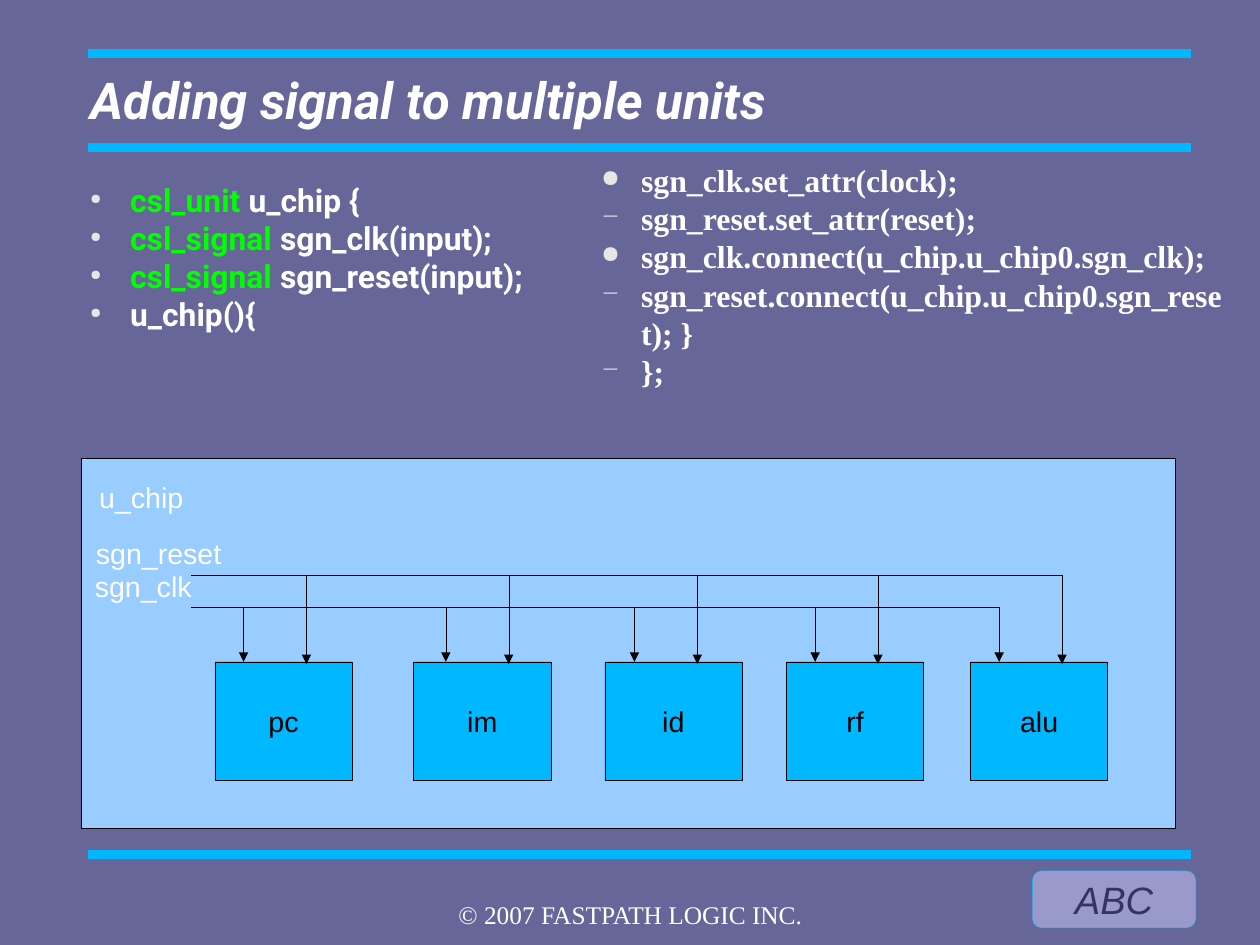
"""Build the slide on adding a signal to multiple units."""
from lxml import etree
from pptx import Presentation
from pptx.dml.color import RGBColor
from pptx.enum import shapes, text
from pptx.oxml import ns
from pptx.util import Pt

WHITE = RGBColor(0xFF, 0xFF, 0xFF)
BLACK = RGBColor(0, 0, 0)
GREEN = RGBColor(0, 0xFF, 0)
CYAN = RGBColor(0, 0xB8, 0xFF)
SKY = RGBColor(0x99, 0xCC, 0xFF)
LILAC = RGBColor(0x99, 0x99, 0xCC)
NAVY = RGBColor(0x33, 0x33, 0x66)
SLATE = RGBColor(0x66, 0x66, 0x99)
BULLET_GREY = RGBColor(0xE6, 0xE6, 0xE6)
HAIRLINE = 0.25


def add_panel(kind, left, top, width, height, fill, border, label="", size=18, color=BLACK):
    panel = slide.shapes.add_shape(kind, Pt(left), Pt(top), Pt(width), Pt(height))
    panel.shadow.inherit = False
    panel.fill.solid()
    panel.fill.fore_color.rgb = fill
    panel.line.color.rgb = border
    panel.line.width = Pt(HAIRLINE)
    if label:
        paragraph = panel.text_frame.paragraphs[0]
        paragraph.text = label
        paragraph.alignment = text.PP_ALIGN.CENTER
        paragraph.font.name = "Arial"
        paragraph.font.size = Pt(size)
        paragraph.font.color.rgb = color
    return panel


def add_line(x1, y1, x2, y2, color=BLACK, width=HAIRLINE, arrow=False):
    line = slide.shapes.add_connector(
        shapes.MSO_CONNECTOR.STRAIGHT, Pt(x1), Pt(y1), Pt(x2), Pt(y2))
    line.line.color.rgb = color
    line.line.width = Pt(width)
    if arrow:
        outline = line._element.spPr.find(ns.qn("a:ln"))
        etree.SubElement(outline, ns.qn("a:tailEnd"), type="triangle")
    etree.SubElement(line._element.spPr, ns.qn("a:effectLst"))


deck = Presentation()
deck.slide_width, deck.slide_height = Pt(793.6), Pt(595.3)
slide = deck.slides.add_slide(deck.slide_layouts[6])
slide.background.fill.solid()
slide.background.fill.fore_color.rgb = SLATE

for rule_y in (34, 93, 538.6):
    add_line(55.4, rule_y, 750.2, rule_y, CYAN, 5.67)

badge = add_panel(shapes.MSO_SHAPE.ROUNDED_RECTANGLE, 650.2, 548.6, 103, 36,
                  LILAC, CYAN, "ABC", 24, NAVY)
badge.text_frame.paragraphs[0].font.italic = True

add_panel(shapes.MSO_SHAPE.RECTANGLE, 51.1, 288.7, 689, 233.3, SKY, BLACK)

headings = (
    ("Adding signal to multiple units", 56.9, 20.2, 677.5, 85, "Roboto", 32, text.PP_ALIGN.LEFT),
    ("© 2007 FASTPATH LOGIC INC.", 271.4, 566.6, 251.3, 16.6, "Times New Roman", 16,
     text.PP_ALIGN.CENTER),
    ("u_chip", 55.4, 298.8, 110, 33.8, "Arial", 18, text.PP_ALIGN.LEFT),
    ("sgn_reset", 53.3, 334.1, 110, 33.8, "Arial", 18, text.PP_ALIGN.LEFT),
    ("sgn_clk", 52.6, 355, 110, 33.8, "Arial", 18, text.PP_ALIGN.LEFT),
)
for wording, left, top, width, height, font, size, alignment in headings:
    frame = slide.shapes.add_textbox(Pt(left), Pt(top), Pt(width), Pt(height)).text_frame
    frame.word_wrap = True
    if font != "Arial":
        frame.margin_left = frame.margin_right = frame.margin_top = frame.margin_bottom = 0
    paragraph = frame.paragraphs[0]
    paragraph.text = wording
    paragraph.alignment = alignment
    paragraph.font.name = font
    paragraph.font.size = Pt(size)
    paragraph.font.color.rgb = WHITE
    if font == "Roboto":
        frame.vertical_anchor = text.MSO_ANCHOR.MIDDLE
        paragraph.font.bold = paragraph.font.italic = True

declarations = (
    ("●", "csl_unit", " u_chip {"),
    ("●", "csl_signal", " sgn_clk(input);"),
    ("●", "csl_signal", " sgn_reset(input);"),
    ("●", "", "u_chip(){"),
)
connections = (
    ("●", "", "sgn_clk.set_attr(clock);"),
    ("−", "", "sgn_reset.set_attr(reset);"),
    ("●", "", "sgn_clk.connect(u_chip.u_chip0.sgn_clk);"),
    ("−", "", "sgn_reset.connect(u_chip.u_chip0.sgn_reset); }"),
    ("−", "", "};"),
)
listings = (
    (declarations, 48.2, 113.8, 337, 110, 0, 0, "Roboto", 45),
    (connections, 362.9, 97.9, 417.6, 160, 7.2, 3.6, "Times New Roman", 75),
)
for code, left, top, width, height, side, edge, font, bullet_size in listings:
    frame = slide.shapes.add_textbox(Pt(left), Pt(top), Pt(width), Pt(height)).text_frame
    frame.word_wrap = True
    frame.margin_left = frame.margin_right = Pt(side)
    frame.margin_top = frame.margin_bottom = Pt(edge)
    for row, (bullet, keyword, rest) in enumerate(code):
        paragraph = frame.add_paragraph() if row else frame.paragraphs[0]
        paragraph.line_spacing = Pt(24)
        layout = paragraph._p.get_or_add_pPr()
        layout.set("marL", str(Pt(33.8)))
        layout.set("indent", str(Pt(-25.2)))
        bullet_color = etree.SubElement(layout, ns.qn("a:buClr"))
        etree.SubElement(bullet_color, ns.qn("a:srgbClr"), val=str(BULLET_GREY))
        etree.SubElement(layout, ns.qn("a:buSzPct"), val=str(bullet_size * 1000))
        etree.SubElement(layout, ns.qn("a:buChar"), char=bullet)
        paragraph.font.name = font
        paragraph.font.size = Pt(20)
        paragraph.font.bold = True
        for part, color in ((keyword, GREEN), (rest, WHITE)):
            if part:
                run = paragraph.add_run()
                run.text = part
                run.font.color.rgb = color

clk_y, reset_y, unit_top = 382.3, 362.2, 416.9
add_line(120.2, clk_y, 629.3, clk_y)
add_line(120.2, reset_y, 668.9, reset_y)

units = (("pc", 135.4, 153.4), ("im", 260.6, 280.8), ("id", 380.9, 399.6),
         ("rf", 495.4, 513.4), ("alu", 611.3, 629.3))
for unit, left, clk_x in units:
    add_panel(shapes.MSO_SHAPE.RECTANGLE, left, unit_top, 86.4, 74.9, CYAN, BLACK, unit)
    reset_x = clk_x + 39.6
    add_line(clk_x, clk_y, clk_x, unit_top, arrow=True)
    add_line(reset_x, reset_y, reset_x, unit_top + 1.4, arrow=True)

deck.save("out.pptx")
